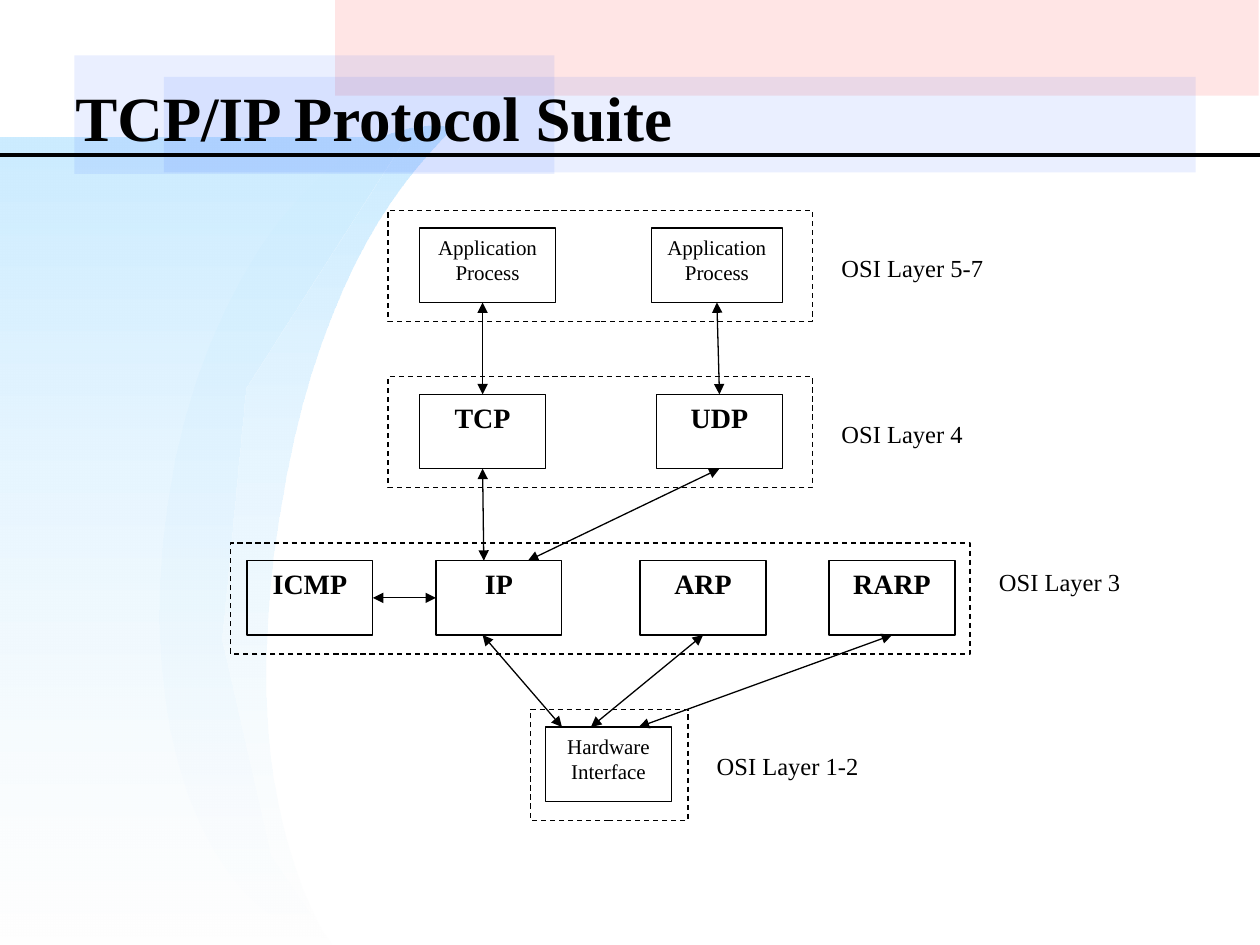
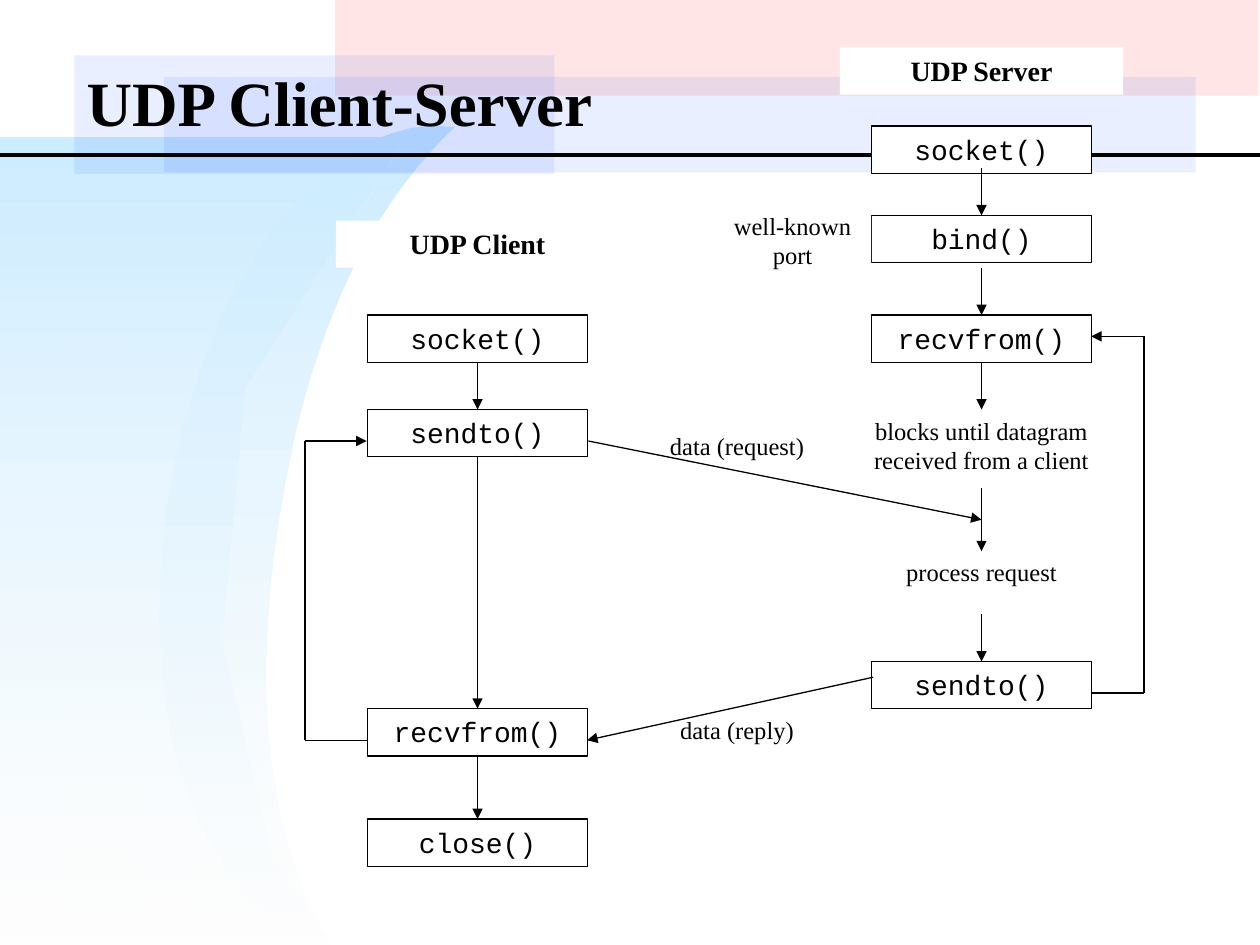
import pptx
import pptx.dml.color
import pptx.enum.dml
import pptx.enum.shapes
import pptx.enum.text
import pptx.oxml.ns
import pptx.util
from lxml import etree

Inches = pptx.util.Inches
qn = pptx.oxml.ns.qn
BLACK = pptx.dml.color.RGBColor(0x00, 0x00, 0x00)
WHITE = pptx.dml.color.RGBColor(0xFF, 0xFF, 0xFF)
PINK = pptx.dml.color.RGBColor(0xFF, 0xCC, 0xCC)
BLUE = pptx.dml.color.RGBColor(0x33, 0x66, 0xFF)
SKY = pptx.dml.color.RGBColor(0xCC, 0xEC, 0xFF)
MIST = pptx.dml.color.RGBColor(0xFE, 0xFE, 0xFE)
SERIF, MONO = "Times New Roman", "Courier New"
TOP, LEFT, BOTTOM, RIGHT = range(4)
WIDTH, HEIGHT = 10, 7.5

PINK_BAND = (2.66, 0, 7.33, 0.76)
BLUE_BANDS = [(0.59, 0.44, 3.81, 0.94), (1.3, 0.61, 8.19, 0.76)]
TITLE_RULE_Y = 1.23
CRESCENT_START = (3.61, 1.01)
CRESCENT_CURVES = [
    ((3.07, 1.52), (2.49, 2.39), (2.22, 4.09)),
    ((1.95, 5.79), (2.24, 6.8), (2.59, 7.44)),
    ((1.62, 7.29), (1.06, 5.72), (1.34, 3.95)),
    ((1.61, 2.19), (2.64, 0.86), (3.61, 1.01)),
]
SKY_PANEL = [(2.64, HEIGHT), (0, HEIGHT), (0, 1.09), (3.22, 1.09),
             (1.95, 3.08), (1.76, 5.07), (2.15, 6.78)]

LAYER_TOP, LAYER_PITCH = 1.81, 1.32
BOX_HEIGHT, FRAME_HEIGHT, FRAME_MARGIN = 0.59, 0.88, 0.14
LAYERS = [
    {"label": "OSI Layer 5-7", "frame": (3.08, 3.37), "label_drop": 0.15, "size": 12,
     "boxes": [("TCP application", "Application Process", 3.33, 1.08),
               ("UDP application", "Application Process", 5.17, 1.04)]},
    {"label": "OSI Layer 4", "frame": (3.08, 3.37), "label_drop": 0.15, "size": 16,
     "boxes": [("TCP", "TCP", 3.33, 1), ("UDP", "UDP", 5.21, 1)]},
    {"label": "OSI Layer 3", "frame": (1.83, 5.87), "label_drop": 0, "size": 16,
     "boxes": [("ICMP", "ICMP", 1.96, 1), ("IP", "IP", 3.46, 1),
               ("ARP", "ARP", 5.08, 1), ("RARP", "RARP", 6.58, 1)]},
    {"label": "OSI Layer 1-2", "frame": (4.21, 1.25), "label_drop": 0.14, "size": 12,
     "boxes": [("Hardware", "Hardware Interface", 4.33, 1)]},
]
LAYER_TOPS = [LAYER_TOP + LAYER_PITCH * index for index in range(len(LAYERS))]
IP_TOP, HARDWARE_TOP = LAYER_TOPS[2], LAYER_TOPS[3]
SUITE_ARROWS = [
    ((3.83, LAYER_TOP + BOX_HEIGHT), ("TCP", TOP)),
    (("UDP application", BOTTOM), ("UDP", TOP)),
    (("ICMP", RIGHT), ("IP", LEFT)),
    (("TCP", BOTTOM), (3.84, IP_TOP)),
    (("UDP", BOTTOM), (4.19, IP_TOP)),
    ((3.83, IP_TOP + BOX_HEIGHT), (4.46, HARDWARE_TOP)),
    (("ARP", BOTTOM), (4.69, HARDWARE_TOP)),
    (("RARP", BOTTOM), (5.07, HARDWARE_TOP)),
]

ROW = 0.125
CLIENT, SERVER, BETWEEN = 3.79, 7.79, 5.85
STYLES = {
    "call": {"width": 1.75, "rows": 3, "size": 16, "font": MONO, "line": BLACK},
    "heading": {"width": 2.25, "rows": 3, "size": 16, "bold": True},
    "state": {"width": 2.25, "rows": 5, "size": 14},
    "step": {"width": 1.75, "rows": 3, "size": 14},
    "data": {"width": 1.87, "rows": 3, "size": 14},
    "note": {"width": 1.25, "rows": 5, "size": 14},
}
EXCHANGE = [
    ("server heading", "UDP Server", "heading", SERVER, 3),
    ("server socket", "socket()", "call", SERVER, 8),
    ("server bind", "bind()", "call", SERVER, 13.67),
    ("port", "well-known port", "note", 6.29, 13),
    ("server recvfrom", "recvfrom()", "call", SERVER, 20),
    ("blocks", "blocks until datagram received from a client", "state", SERVER, 26),
    ("process", "process request", "step", SERVER, 35),
    ("server sendto", "sendto()", "call", SERVER, 42),
    ("client heading", "UDP Client", "heading", CLIENT, 14),
    ("client socket", "socket()", "call", CLIENT, 20),
    ("client sendto", "sendto()", "call", CLIENT, 26),
    ("client recvfrom", "recvfrom()", "call", CLIENT, 45),
    ("client close", "close()", "call", CLIENT, 52),
    ("request", "data (request)", "data", BETWEEN, 27),
    ("reply", "data (reply)", "data", BETWEEN, 45),
]
EXCHANGE_ARROWS = [
    ((SERVER, 10.67 * ROW), ("server bind", TOP)),
    ((SERVER, 17 * ROW), ("server recvfrom", TOP)),
    (("server recvfrom", BOTTOM), ("blocks", TOP)),
    (("blocks", BOTTOM), ("process", TOP)),
    ((SERVER, 39 * ROW), ("server sendto", TOP)),
    (("client socket", BOTTOM), ("client sendto", TOP)),
    (("client sendto", BOTTOM), ("client recvfrom", TOP)),
    (("client recvfrom", BOTTOM), ("client close", TOP)),
    ((4.67, 28 * ROW), (SERVER, 33 * ROW)),
    ((6.93, 43 * ROW), (4.66, 47 * ROW)),
]
LOOPS = [
    [(2.91, 47 * ROW), (2.42, 47 * ROW), (2.42, 28 * ROW), (2.91, 28 * ROW)],
    [(8.67, 44 * ROW), (9.08, 44 * ROW), (9.08, 21.36 * ROW), (8.66, 21.36 * ROW)],
]


def set_alpha(color_element, percent):
    etree.SubElement(color_element, qn("a:alpha")).set("val", str(percent * 1000))


def write(shape, text, size, font=SERIF, bold=False, align=None, anchor=None):
    frame = shape.text_frame
    frame.word_wrap = True
    frame.vertical_anchor = anchor or pptx.enum.text.MSO_ANCHOR.TOP
    frame.text = text
    paragraph = frame.paragraphs[0]
    paragraph.alignment = align or pptx.enum.text.PP_ALIGN.LEFT
    run_font = paragraph.runs[0].font
    run_font.name, run_font.size, run_font.bold = font, pptx.util.Pt(size), bold
    run_font.color.rgb = BLACK


def add_text(slide, box, text, size, **style):
    write(slide.shapes.add_textbox(*map(Inches, box)), text, size, **style)


def add_rectangle(slide, box, fill=None, line=None, alpha=None, dashed=False):
    shape = slide.shapes.add_shape(pptx.enum.shapes.MSO_SHAPE.RECTANGLE, *map(Inches, box))
    shape.shadow.inherit = False
    if fill is None:
        shape.fill.background()
    else:
        shape.fill.solid()
        shape.fill.fore_color.rgb = fill
        if alpha:
            set_alpha(shape._element.spPr.find(".//" + qn("a:srgbClr")), alpha)
    if line is None:
        shape.line.fill.background()
    else:
        shape.line.color.rgb = line
        shape.line.width = pptx.util.Pt(0.75)
    if dashed:
        shape.line.dash_style = pptx.enum.dml.MSO_LINE.DASH
    return shape


def add_box(slide, box, text, size, fill=None, line=None, font=SERIF, bold=False):
    shape = add_rectangle(slide, box, fill, line)
    write(shape, text, size, font, bold, pptx.enum.text.PP_ALIGN.CENTER)
    return shape


def add_line(slide, start, end, boxes=None, heads=(), width=0.75):
    joined = [isinstance(place[0], str) for place in (start, end)]
    points = [(0, 0) if join else place for join, place in zip(joined, (start, end))]
    connector = slide.shapes.add_connector(
        pptx.enum.shapes.MSO_CONNECTOR.STRAIGHT, *(Inches(v) for point in points for v in point))
    if joined[0]:
        connector.begin_connect(boxes[start[0]], start[1])
    if joined[1]:
        connector.end_connect(boxes[end[0]], end[1])
    connector.line.color.rgb = BLACK
    connector.line.width = pptx.util.Pt(width)
    line = connector.line._get_or_add_ln()
    for head in heads:
        etree.SubElement(line, qn("a:" + head)).set("type", "triangle")
    etree.SubElement(connector._element.spPr, qn("a:effectLst"))


def add_gradient_outline(slide, points):
    points = [(Inches(x), Inches(y)) for x, y in points]
    builder = slide.shapes.build_freeform(*points[0])
    builder.add_line_segments(points[1:], close=True)
    shape = builder.convert_to_shape()
    shape.shadow.inherit = False
    shape.line.fill.background()
    shape.fill.gradient()
    shape.fill.gradient_angle = 270
    for stop, color in zip(shape.fill.gradient_stops, (SKY, MIST)):
        stop.color.rgb = color
    set_alpha(shape._element.spPr.findall(".//" + qn("a:srgbClr"))[-1], 50)


def curve_points(start, curves, steps=16):
    points = [start]
    for first, second, end in curves:
        begin = points[-1]
        for step in range(1, steps + 1):
            t = step / steps
            points.append(tuple(
                (1 - t) ** 3 * a + 3 * t * (1 - t) ** 2 * b + 3 * t * t * (1 - t) * c + t ** 3 * d
                for a, b, c, d in zip(begin, first, second, end)))
    return points


def start_slide(presentation, title, title_box):
    slide = presentation.slides.add_slide(presentation.slide_layouts[6])
    add_rectangle(slide, PINK_BAND, PINK, alpha=50)
    add_gradient_outline(slide, curve_points(CRESCENT_START, CRESCENT_CURVES))
    add_gradient_outline(slide, SKY_PANEL)
    for band in BLUE_BANDS:
        add_rectangle(slide, band, BLUE, alpha=10)
    add_line(slide, (0, TITLE_RULE_Y), (WIDTH, TITLE_RULE_Y), width=2.25)
    add_text(slide, title_box, title, 36, bold=True, anchor=pptx.enum.text.MSO_ANCHOR.MIDDLE)
    return slide


def build_suite(presentation):
    slide = start_slide(presentation, "TCP/IP Protocol Suite", (0.5, 0.3, 8.17, 1.25))
    boxes = {}
    for layer, top in zip(LAYERS, LAYER_TOPS):
        left, width = layer["frame"]
        add_rectangle(slide, (left, top - FRAME_MARGIN, width, FRAME_HEIGHT),
                      line=BLACK, dashed=True)
        for name, text, box_left, box_width in layer["boxes"]:
            boxes[name] = add_box(slide, (box_left, top, box_width, BOX_HEIGHT), text,
                                  layer["size"], line=BLACK, bold=layer["size"] == 16)
        add_text(slide, (left + width + 0.13, top + layer["label_drop"], 1.5, 0.44),
                 layer["label"], 14)
    for start, end in SUITE_ARROWS:
        add_line(slide, start, end, boxes, ("headEnd", "tailEnd"))


def build_exchange(presentation):
    slide = start_slide(presentation, "UDP Client-Server", (0.59, 0.21, 6.16, 1.18))
    boxes = {}
    for name, text, style_name, center, row in EXCHANGE:
        style = dict(STYLES[style_name])
        width, rows = style.pop("width"), style.pop("rows")
        boxes[name] = add_box(slide, (center - width / 2, row * ROW, width, rows * ROW),
                              text, fill=WHITE, **style)
    for start, end in EXCHANGE_ARROWS:
        add_line(slide, start, end, boxes, ("tailEnd",))
    for corners in LOOPS:
        for start, end in zip(corners, corners[1:]):
            add_line(slide, start, end, heads=("tailEnd",) if end == corners[-1] else ())


def main():
    presentation = pptx.Presentation()
    presentation.slide_width, presentation.slide_height = Inches(WIDTH), Inches(HEIGHT)
    build_suite(presentation)
    build_exchange(presentation)
    presentation.save("out.pptx")


if __name__ == "__main__":
    main()
